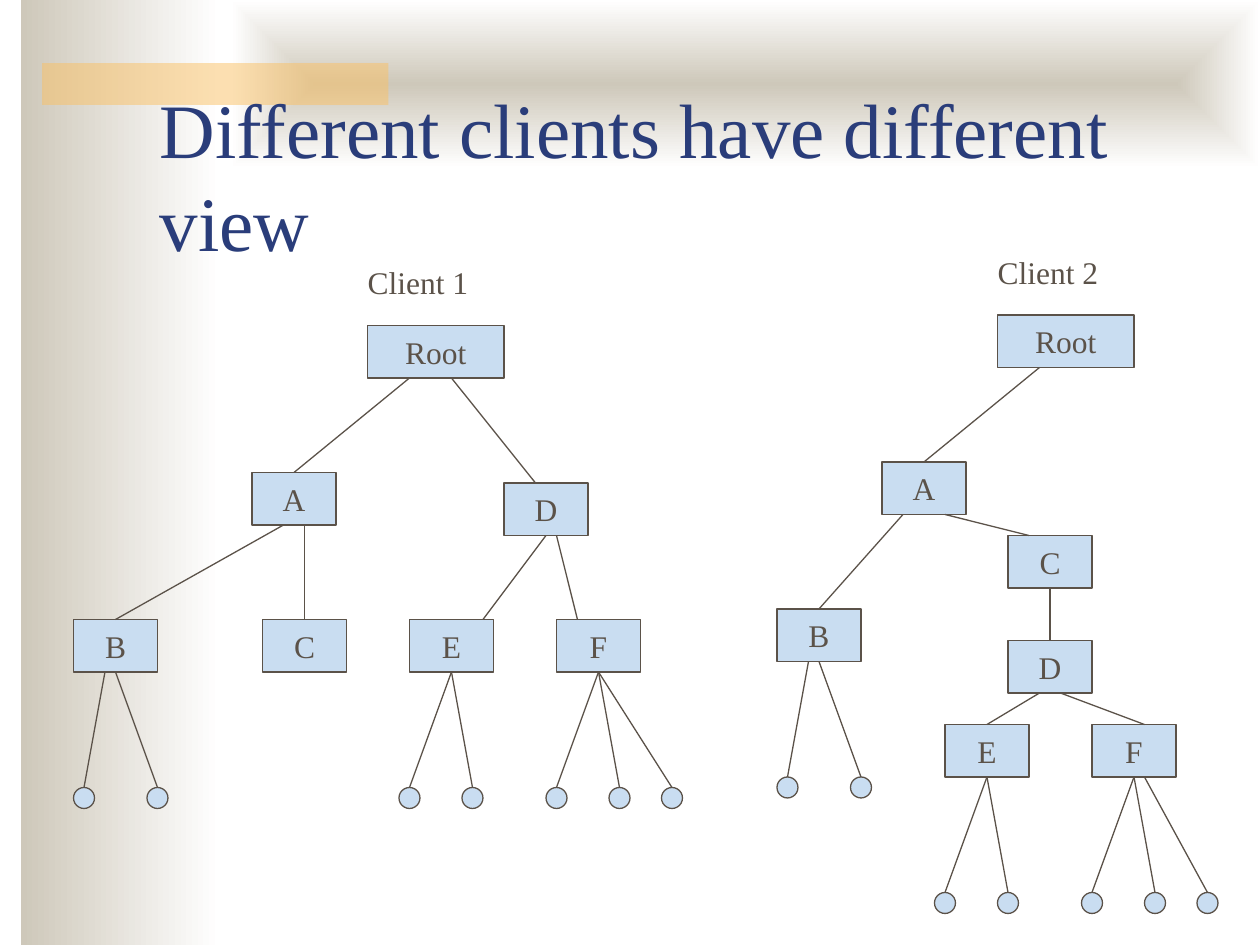
from lxml import etree
from pptx import Presentation
from pptx import util as u
from pptx.dml.color import RGBColor
from pptx.enum import shapes, text
from pptx.oxml import parse_xml
from pptx.oxml.ns import qn

SAND = RGBColor(0xCE, 0xC8, 0xBA)
WHITE = RGBColor(0xFF, 0xFF, 0xFF)
AMBER = RGBColor(0xFA, 0xC1, 0x64)
NAVY = RGBColor(0x2A, 0x3D, 0x7A)
SKY = RGBColor(0xC9, 0xDD, 0xF1)
BROWN = RGBColor(0x5B, 0x52, 0x49)
FONT = "Times New Roman"
UNIT = 2.54 / 12  # everything sits on a grid of twelfths of an inch
BOX_W, ROOT_W, BOX_H, DOT, DROP = 8, 13, 5, 2, 11

prs = Presentation()
prs.slide_width, prs.slide_height = u.Cm(25.4), u.Cm(19.05)
slide = prs.slides.add_slide(prs.slide_layouts[5])


def add_block(kind, *grid_box, line=BROWN):
    block = slide.shapes.add_shape(kind, *[u.Cm(n * UNIT) for n in grid_box])
    block.shadow.inherit = False
    block.fill.solid()
    block.fill.fore_color.rgb = SKY
    if line is None:
        block.line.fill.background()
    else:
        block.line.color.rgb = line
        block.line.width = u.Pt(0.75)
    return block


def style(paragraph, size, color):
    paragraph.font.name = FONT
    paragraph.font.size = u.Pt(size)
    paragraph.font.color.rgb = color


# Background bands
RECT = shapes.MSO_SHAPE.RECTANGLE
side_band = add_block(RECT, 2, 0, 19, 90, line=None)
top_band = add_block(RECT, 22, 0, 98, 16, line=None)
for band in (side_band, top_band):
    band.fill.gradient()
    band.fill.gradient_angle = 0
    for stop, color, position in zip(band.fill.gradient_stops, (SAND, WHITE), (0, 1)):
        stop.color.rgb = color
        stop.position = position

# The top band fades outwards from its centre
linear = top_band._element.spPr.find(".//" + qn("a:lin"))
linear.getparent().replace(linear, parse_xml(
    '<a:path xmlns:a="http://schemas.openxmlformats.org/drawingml/2006/main" path="rect">'
    '<a:fillToRect l="50000" t="50000" r="50000" b="50000"/></a:path>'))

# Translucent accent bar
accent = add_block(RECT, 4, 6, 33, 4, line=None)
accent.fill.fore_color.rgb = AMBER
accent_color = accent._element.spPr.find(".//" + qn("a:srgbClr"))
etree.SubElement(accent_color, qn("a:alpha")).set("val", "50000")

# Title, brought in front of the bands
title = slide.shapes.title
slide.shapes._spTree.append(title._element)
title.left, title.top, title.width, title.height = [
    u.Cm(n * UNIT) for n in (14, 11, 102, 15)]
title.text_frame.text = "Different clients have different view"
title.text_frame.vertical_anchor = text.MSO_ANCHOR.BOTTOM
title.text_frame.auto_size = text.MSO_AUTO_SIZE.NONE
title.text_frame.paragraphs[0].alignment = text.PP_ALIGN.LEFT
style(title.text_frame.paragraphs[0], 44, NAVY)

# Trees in grid units: nodes by top left corner, branches as x1, y1, x2, y2,
# leaves as the start of the line and the x of the leaf's centre
trees = [
    {"client": "Client 1", "label_at": (33.84, 24.5),
     "nodes": [("Root", 35, 31), ("A", 24, 45), ("D", 48, 46), ("B", 7, 59),
               ("C", 25, 59), ("E", 39, 59), ("F", 53, 59)],
     "branches": [(39, 36, 28, 45), (43, 36, 51, 46), (27, 50, 11, 59),
                  (29, 50, 29, 59), (52, 51, 46, 59), (53, 51, 55, 59)],
     "leaves": [(10, 64, 8), (11, 64, 15), (43, 64, 39), (43, 64, 45),
                (57, 64, 53), (57, 64, 59), (57, 64, 64)]},
    {"client": "Client 2", "label_at": (93.84, 23.5),
     "nodes": [("Root", 95, 30), ("A", 84, 44), ("B", 74, 58), ("C", 96, 51),
               ("D", 96, 61), ("E", 90, 69), ("F", 104, 69)],
     "branches": [(99, 35, 88, 44), (86, 49, 78, 58), (90, 49, 98, 51),
                  (100, 56, 100, 61), (99, 66, 94, 69), (101, 66, 109, 69)],
     "leaves": [(77, 63, 75), (78, 63, 82), (94, 74, 90), (94, 74, 96),
                (108, 74, 104), (108, 74, 110), (109, 74, 115)]},
]

for tree in trees:
    # Named boxes
    for name, x, y in tree["nodes"]:
        node = add_block(RECT, x, y, ROOT_W if name == "Root" else BOX_W, BOX_H)
        node.text_frame.text = name
        node.text_frame.word_wrap = False
        node.text_frame.vertical_anchor = text.MSO_ANCHOR.MIDDLE
        node.text_frame.paragraphs[0].alignment = text.PP_ALIGN.CENTER
        style(node.text_frame.paragraphs[0], 18, BROWN)

    # Leaf circles
    for x, y, leaf_x in tree["leaves"]:
        add_block(shapes.MSO_SHAPE.FLOWCHART_CONNECTOR,
                  leaf_x - DOT / 2, y + DROP, DOT, DOT)

    # Lines between boxes and down to the leaves
    drops = [(x, y, leaf_x, y + DROP) for x, y, leaf_x in tree["leaves"]]
    for ends in tree["branches"] + drops:
        branch = slide.shapes.add_connector(
            shapes.MSO_CONNECTOR.STRAIGHT, *[u.Cm(n * UNIT) for n in ends])
        branch.line.color.rgb = BROWN
        branch.line.width = u.Pt(0.75)
        etree.SubElement(branch._element.spPr, qn("a:effectLst"))

    # Client label
    label_x, label_y = tree["label_at"]
    label = slide.shapes.add_textbox(
        u.Cm(label_x * UNIT), u.Cm(label_y * UNIT), u.Cm(2.54), u.Cm(1.02))
    label.text_frame.text = tree["client"]
    label.text_frame.word_wrap = False
    label.text_frame.auto_size = text.MSO_AUTO_SIZE.SHAPE_TO_FIT_TEXT
    style(label.text_frame.paragraphs[0], 18, BROWN)

prs.save("out.pptx")
